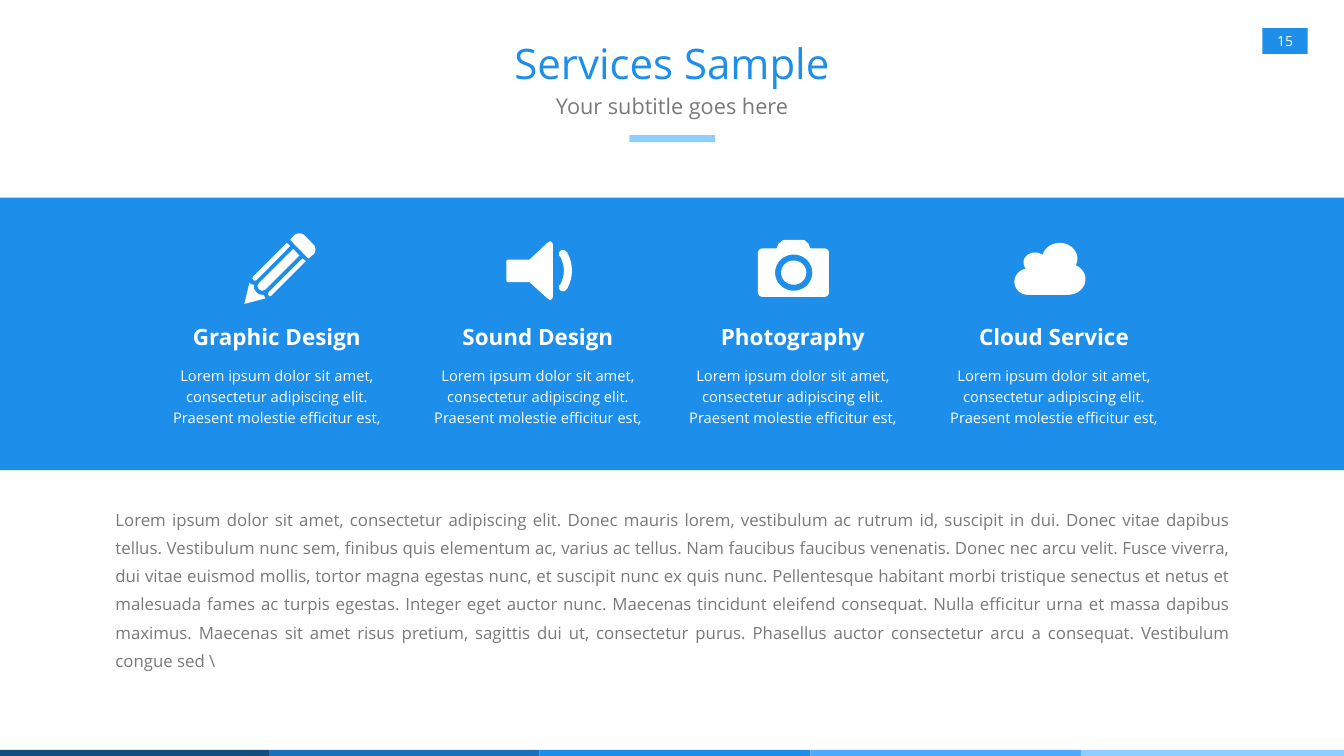
import math

import pptx
import pptx.dml.color
import pptx.enum.shapes
import pptx.enum.text
import pptx.util

Inches = pptx.util.Inches
RGBColor = pptx.dml.color.RGBColor
ALIGN = pptx.enum.text.PP_ALIGN
ANCHOR = pptx.enum.text.MSO_ANCHOR

NAVY = RGBColor(0x13, 0x4D, 0x7E)
DEEP_BLUE = RGBColor(0x19, 0x71, 0xBB)
BLUE = RGBColor(0x1D, 0x8E, 0xEA)
SKY = RGBColor(0x4E, 0xAA, 0xFF)
PALE_BLUE = RGBColor(0x8B, 0xCE, 0xFF)
GRAY = RGBColor(0x79, 0x79, 0x79)
WHITE = RGBColor(0xFF, 0xFF, 0xFF)

FONT = "Open Sans"
SMALL_INSETS = (0.1, 0.05)
LARGE_INSETS = (0.24, 0.12)
DESCRIPTION = ("Lorem ipsum dolor sit amet, consectetur adipiscing elit. "
               "Praesent molestie efficitur est,")
BODY = (
    "Lorem ipsum dolor sit amet, consectetur adipiscing elit. Donec mauris lorem, "
    "vestibulum ac rutrum id, suscipit in dui. Donec vitae dapibus tellus. Vestibulum "
    "nunc sem, finibus quis elementum ac, varius ac tellus. Nam faucibus faucibus "
    "venenatis. Donec nec arcu velit. Fusce viverra, dui vitae euismod mollis, tortor "
    "magna egestas nunc, et suscipit nunc ex quis nunc. Pellentesque habitant morbi "
    "tristique senectus et netus et malesuada fames ac turpis egestas. Integer eget "
    "auctor nunc. Maecenas tincidunt eleifend consequat. Nulla efficitur urna et massa "
    "dapibus maximus. Maecenas sit amet risus pretium, sagittis dui ut, consectetur "
    "purus. Phasellus auctor consectetur arcu a consequat. Vestibulum congue sed \\"
)


def paint(shape, color):
    shape.shadow.inherit = False
    shape.fill.solid()
    shape.fill.fore_color.rgb = color
    shape.line.fill.background()


def add_bar(slide, left, top, width, height, color):
    bar = slide.shapes.add_shape(
        pptx.enum.shapes.MSO_SHAPE.RECTANGLE,
        Inches(left), Inches(top), Inches(width), Inches(height))
    paint(bar, color)
    return bar


def write(shape, text, size, color, bold=False, align=ALIGN.CENTER,
          spacing=None, insets=SMALL_INSETS, anchor=ANCHOR.TOP):
    frame = shape.text_frame
    frame.word_wrap = True
    frame.vertical_anchor = anchor
    frame.margin_left = frame.margin_right = Inches(insets[0])
    frame.margin_top = frame.margin_bottom = Inches(insets[1])
    frame.text = text
    para = frame.paragraphs[0]
    para.alignment = align
    if spacing:
        para.line_spacing = spacing
    font = para.runs[0].font
    font.name = FONT
    font.size = pptx.util.Pt(size)
    font.bold = bold
    font.color.rgb = color


def add_text(slide, left, top, width, height, text, size, color, **style):
    box = slide.shapes.add_textbox(
        Inches(left), Inches(top), Inches(width), Inches(height))
    write(box, text, size, color, **style)


def arc(x, y, radius_x, radius_y, start, end):
    steps = max(4, round(abs(end - start) / 8))
    angles = [math.radians(start + (end - start) * i / steps) for i in range(steps + 1)]
    return [(x + radius_x * math.cos(a), y + radius_y * math.sin(a)) for a in angles]


def add_icon(slide, outlines):
    lengths = [[(Inches(x), Inches(y)) for x, y in outline] for outline in outlines]
    builder = slide.shapes.build_freeform(*lengths[0][0])
    builder.add_line_segments(lengths[0][1:], close=True)
    for outline in lengths[1:]:
        builder.move_to(*outline[0])
        builder.add_line_segments(outline[1:], close=True)
    paint(builder.convert_to_shape(), WHITE)


def pencil():
    eraser = ([(6.12, 5.13), (5.76, 4.76), (5.82, 4.69)]
              + arc(5.94, 4.77, 0.15, 0.14, 225, 315)
              + arc(6.12, 4.95, 0.14, 0.14, -45, 45))
    lower_rail = [(6.07, 5.18), (6, 5.13), (5.33, 5.8), (5.32, 5.84),
                  (5.35, 5.88), (5.38, 5.87)]
    upper_rail = [(5.76, 4.88), (5.69, 4.82), (5.02, 5.49), (5.01, 5.53),
                  (5.05, 5.57), (5.09, 5.56)]
    core = [(5.82, 4.94), (5.14, 5.62), (5.11, 5.68), (5.14, 5.74),
            (5.2, 5.77), (5.27, 5.74), (5.94, 5.07)]
    tip = [(4.95, 5.61), (4.85, 6.03), (5.27, 5.92), (5.23, 5.85), (5.2, 5.85),
           (5.14, 5.84), (5.09, 5.8), (5.04, 5.73), (5.04, 5.65), (4.98, 5.64)]
    return [eraser, lower_rail, upper_rail, core, tip]


def speaker():
    cone = ([(10.51, 5.15), (10.85, 4.83)]
            + arc(10.92, 4.86, 0.05, 0.07, 240, 360)
            + arc(10.92, 5.88, 0.05, 0.07, 0, 120)
            + [(10.85, 5.91), (10.51, 5.6)]
            + arc(10.09, 5.56, 0.04, 0.04, 90, 180)
            + arc(10.09, 5.19, 0.04, 0.04, 180, 270))
    wave = (arc(10.62, 5.37, 0.73, 0.73, -30, 30)
            + arc(11.17, 5.7, 0.08, 0.08, 30, 210)
            + arc(10.62, 5.37, 0.57, 0.57, 30, -30)
            + arc(11.17, 5.04, 0.08, 0.08, 150, 330))
    return [cone, wave]


def camera():
    body = ([(15.41, 4.93), (15.45, 4.83)]
            + arc(15.58, 4.87, 0.11, 0.11, 210, 270)
            + arc(15.92, 4.87, 0.11, 0.11, 270, 330)
            + [(16.04, 4.83), (16.08, 4.93)]
            + arc(16.36, 5.02, 0.09, 0.09, -90, 0)
            + arc(16.36, 5.8, 0.09, 0.09, 0, 90)
            + arc(15.13, 5.8, 0.09, 0.09, 90, 180)
            + arc(15.13, 5.02, 0.09, 0.09, 180, 270))
    rim = arc(15.75, 5.41, 0.37, 0.36, 0, 360)
    lens = arc(15.75, 5.41, 0.25, 0.24, 0, 360)
    return [body, rim, lens]


def cloud():
    return [arc(21.19, 5.54, 0.35, 0.31, -62, 90)
            + arc(20.4, 5.59, 0.27, 0.26, 90, 260)
            + arc(20.54, 5.21, 0.23, 0.2, 145, 310)
            + arc(21.03, 5.13, 0.35, 0.31, 193, 386)]


def add_service(slide, left, name, icon):
    add_icon(slide, icon)
    add_text(slide, left, 6.37, 4.67, 0.64, name, 32, WHITE, bold=True)
    add_text(slide, left, 7.16, 4.67, 1.51, DESCRIPTION, 21, WHITE, spacing=1.2)


def add_header(slide):
    add_text(slide, 2, 0.62, 22.67, 1.24, "Services Sample", 60, BLUE,
             insets=LARGE_INSETS, anchor=ANCHOR.MIDDLE)
    add_text(slide, 6.96, 1.62, 12.75, 0.92, "Your subtitle goes here", 31, GRAY,
             spacing=1.2, insets=LARGE_INSETS)
    add_bar(slide, 12.49, 2.68, 1.7, 0.14, PALE_BLUE)
    page_number = add_bar(slide, 25.05, 0.56, 0.9, 0.51, BLUE)
    write(page_number, "15", 20, WHITE, insets=(0, 0), anchor=ANCHOR.MIDDLE)


def main():
    deck = pptx.Presentation()
    deck.slide_width, deck.slide_height = Inches(26.67), Inches(15)
    slide = deck.slides.add_slide(deck.slide_layouts[6])

    for index, color in enumerate((NAVY, DEEP_BLUE, BLUE, SKY, PALE_BLUE)):
        add_bar(slide, -0.03 + 5.37 * index, 14.88, 5.37, 0.2, color)
    add_bar(slide, 0, 3.92, 26.67, 5.41, BLUE)
    add_header(slide)

    services = (
        (3.16, "Graphic Design", pencil()),
        (8.34, "Sound Design", speaker()),
        (13.4, "Photography", camera()),
        (18.58, "Cloud Service", cloud()),
    )
    for left, name, icon in services:
        add_service(slide, left, name, icon)

    add_text(slide, 2.05, 9.83, 22.59, 3.04, BODY, 24, GRAY,
             align=ALIGN.JUSTIFY, spacing=1.4, insets=LARGE_INSETS)
    deck.save("out.pptx")


if __name__ == "__main__":
    main()
